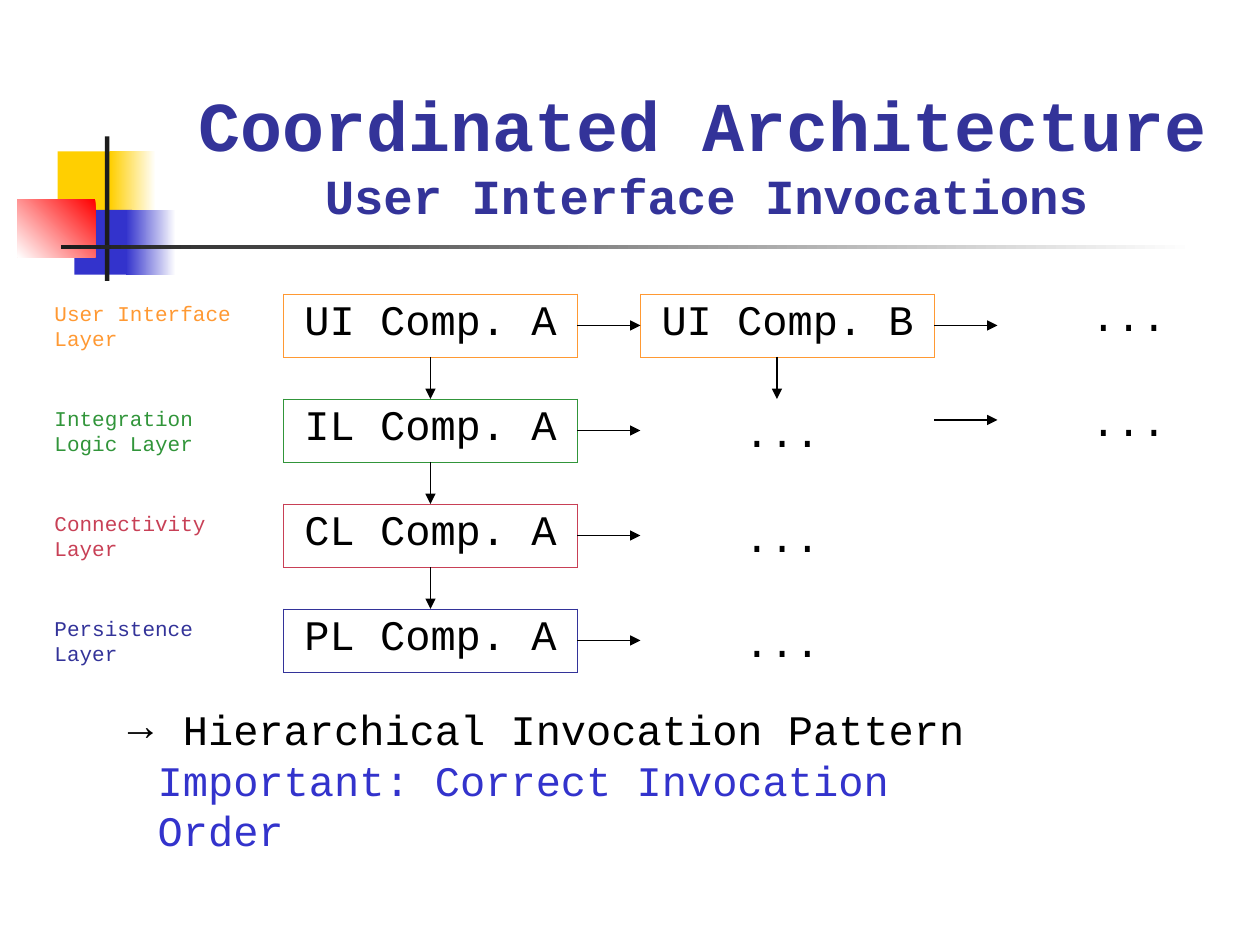
from lxml.etree import SubElement
from pptx import Presentation
from pptx.dml.color import RGBColor
from pptx.enum.shapes import MSO_CONNECTOR, MSO_SHAPE
from pptx.enum.text import MSO_ANCHOR as ANCHOR, MSO_AUTO_SIZE as AUTO, PP_ALIGN as ALIGN
from pptx.oxml.ns import qn
from pptx.util import Pt

FONT = "Courier New"
COLORS = {
    "ink": "000000", "white": "FFFFFF", "bar": "1C1C1C", "title": "333399",
    "yellow": "FFCF01", "blue": "3333CC", "red": "FF0000",
    "ui": "FF9933", "integration": "31953A",
    "connectivity": "C84056", "persistence": "333399",
}
LAYERS = [
    ("User Interface Layer", "UI Comp. A", "ui"),
    ("Integration Logic Layer", "IL Comp. A", "integration"),
    ("Connectivity Layer", "CL Comp. A", "connectivity"),
    ("Persistence Layer", "PL Comp. A", "persistence"),
]
TOP, LEFT, BOTTOM, RIGHT = range(4)  # connection sites


def rgb(name):
    return RGBColor.from_string(COLORS[name])


def add_run(paragraph, text, size, color, bold=False):
    run = paragraph.add_run()
    run.text = text
    run.font.name = FONT
    run.font.size = Pt(size)
    run.font.bold = bold
    run.font.color.rgb = rgb(color)


def add_text_box(slide, box, grow=True):
    """Bottom-anchored text box; returns its first paragraph."""
    frame = slide.shapes.add_textbox(*map(Pt, box)).text_frame
    frame.word_wrap = True
    frame.vertical_anchor = ANCHOR.BOTTOM
    frame.auto_size = AUTO.SHAPE_TO_FIT_TEXT if grow else AUTO.NONE
    return frame.paragraphs[0]


def add_block(slide, box, colors, angle=0):
    """Borderless rectangle, solid for one colour, gradient for two."""
    block = slide.shapes.add_shape(MSO_SHAPE.RECTANGLE, *map(Pt, box))
    block.shadow.inherit = False
    block.line.fill.background()
    if len(colors) == 1:
        block.fill.solid()
        block.fill.fore_color.rgb = rgb(colors[0])
        return
    block.fill.gradient()
    block.fill.gradient_angle = angle
    for stop, color in zip(block.fill.gradient_stops, colors):
        stop.color.rgb = rgb(color)


def add_arrow(slide, start, end, source=None, target=None):
    """Arrow between points; source and target are (component, site) pairs."""
    arrow = slide.shapes.add_connector(MSO_CONNECTOR.STRAIGHT, *map(Pt, start + end))
    if source:
        arrow.begin_connect(*source)
    if target:
        arrow.end_connect(*target)
    arrow.line.color.rgb = rgb("ink")
    arrow.line.width = Pt(0.75)
    SubElement(arrow.line._get_or_add_ln(), qn("a:tailEnd"), type="triangle")
    SubElement(arrow._element.spPr, qn("a:effectLst"))


def add_component(slide, box, text, color):
    """One-cell table with a coloured border."""
    component = slide.shapes.add_table(1, 1, *map(Pt, box))
    table = component.table
    table.first_row = table.horz_banding = False
    cell = table.cell(0, 0)
    properties = cell._tc.get_or_add_tcPr()
    for side in ("lnL", "lnR", "lnT", "lnB"):
        border = SubElement(properties, qn(f"a:{side}"), w=str(Pt(0.45)))
        fill = SubElement(border, qn("a:solidFill"))
        SubElement(fill, qn("a:srgbClr"), val=COLORS[color])
    cell.fill.background()
    paragraph = cell.text_frame.paragraphs[0]
    paragraph.alignment = ALIGN.CENTER
    add_run(paragraph, text, 24, "ink")
    return component


def add_ellipsis(slide, left, top):
    paragraph = add_text_box(slide, (left, top, 90, 36))
    paragraph.alignment = ALIGN.CENTER
    add_run(paragraph, "...", 24, "ink")


def add_ornament(slide, left, top):
    """Coloured squares with the cross bars beside the title."""
    blocks = [
        ((23, 8.5, 34.5, 37.5), ["yellow"], 0),
        ((53, 8.5, 26, 37.5), ["white", "yellow"], 180),
        ((32.5, 42, 33, 37), ["blue"], 0),
        ((62, 42, 28.5, 37), ["white", "blue"], 180),
        ((0, 36, 44.5, 33), ["red", "white"], 225),
        ((50, 0, 2.5, 82.5), ["bar"], 0),
        ((25, 62, 648, 2.5), ["white", "bar"], 180),
    ]
    for (x, y, width, height), colors, angle in blocks:
        add_block(slide, (left + x, top + y, width, height), colors, angle)


def add_title(slide, box):
    paragraph = add_text_box(slide, box, grow=False)
    tabs = SubElement(paragraph._p.get_or_add_pPr(), qn("a:tabLst"))
    SubElement(tabs, qn("a:tab"), pos=str(Pt(72)), algn="l")
    add_run(paragraph, "Coordinated Architecture", 40, "title", bold=True)
    paragraph.add_line_break()
    add_run(paragraph, "\tUser Interface Invocations", 28, "title", bold=True)


def add_diagram(slide, left, top):
    """Layer labels, components and the invocations between them."""
    width, height, pitch, gap = 168, 36, 60, 36
    column_a = left + 138
    column_b = column_a + width + gap
    end_a, end_b = column_a + width, column_b + width
    middle = top + height / 2
    center_a = column_a + width / 2

    # Layers, each invoking the one below
    stack = []
    for row, (label, name, color) in enumerate(LAYERS):
        y = top + row * pitch
        add_run(add_text_box(slide, (left, y, 126, height)), label, 12, color)
        component = add_component(slide, (column_a, y, width, height), name, color)
        if stack:
            add_arrow(slide, (center_a, y - pitch + height), (center_a, y),
                      (stack[-1], BOTTOM), (component, TOP))
        stack.append(component)

    # Second user interface component
    ui_b = add_component(slide, (column_b, top, width, height), "UI Comp. B", "ui")
    add_arrow(slide, (end_a, middle), (column_b, middle),
              (stack[0], RIGHT), (ui_b, LEFT))
    add_arrow(slide, (end_b, middle), (end_b + gap, middle), (ui_b, RIGHT))
    add_arrow(slide, (column_b + 78, top + height), (column_b + 78, top + pitch))

    # Continuations to the right
    for row, component in enumerate(stack[1:], 1):
        y = middle + row * pitch
        add_arrow(slide, (end_a, y), (end_a + gap, y), (component, RIGHT))
        add_ellipsis(slide, column_b + gap, top + row * pitch)
    add_arrow(slide, (end_b, top + 72), (end_b + gap, top + 72))
    for row in range(2):
        add_ellipsis(slide, end_b + 66, top - 6 + row * pitch)


def add_conclusion(slide, box):
    paragraph = add_text_box(slide, box)
    properties = paragraph._p.get_or_add_pPr()
    properties.set("marL", str(Pt(17)))
    properties.set("indent", str(-Pt(17)))
    bullet_color = SubElement(properties, qn("a:buClr"))
    SubElement(bullet_color, qn("a:srgbClr"), val=COLORS["ink"])
    SubElement(properties, qn("a:buFont"), typeface=FONT)
    SubElement(properties, qn("a:buChar"), char="→")
    add_run(paragraph, " Hierarchical Invocation Pattern", 24, "ink")
    paragraph.add_line_break()
    add_run(paragraph, "Important: Correct Invocation Order", 24, "blue")


def main():
    deck = Presentation()
    deck.slide_width, deck.slide_height = Pt(720), Pt(540)
    slide = deck.slides.add_slide(deck.slide_layouts[6])
    add_ornament(slide, 10, 78)
    add_title(slide, (106.5, 42, 613.5, 90))
    add_diagram(slide, 24, 168)
    add_conclusion(slide, (66, 427, 528, 65))
    deck.save("out.pptx")


if __name__ == "__main__":
    main()
